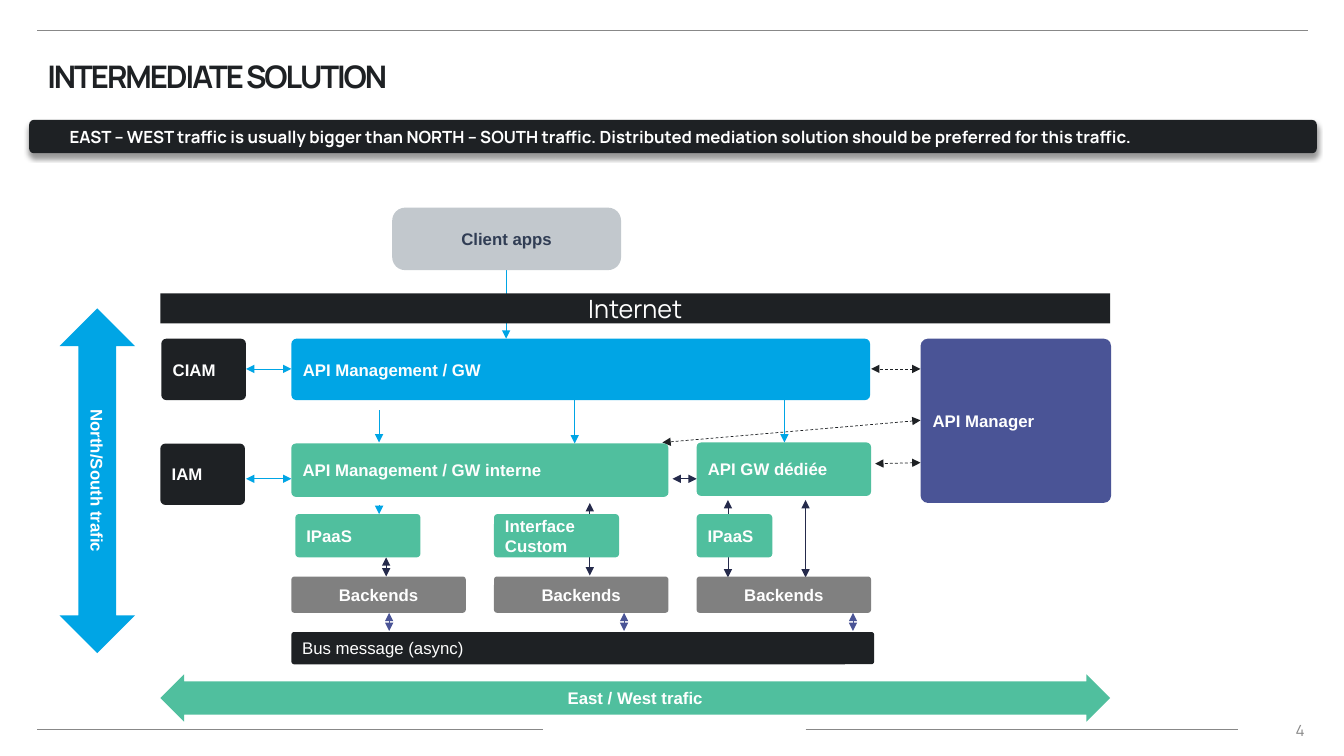
import pptx
import pptx.util
import pptx.dml.color
import pptx.enum.dml
import pptx.enum.shapes
import pptx.enum.text
import pptx.oxml
import pptx.oxml.ns

Inches = pptx.util.Inches
Pt = pptx.util.Pt
RGBColor = pptx.dml.color.RGBColor
SHAPE = pptx.enum.shapes.MSO_SHAPE
ALIGN = pptx.enum.text.PP_ALIGN
ANCHOR = pptx.enum.text.MSO_ANCHOR
qn = pptx.oxml.ns.qn

INK = RGBColor(0x1E, 0x21, 0x24)
WHITE = RGBColor(0xFF, 0xFF, 0xFF)
OFF_WHITE = RGBColor(0xFE, 0xFE, 0xFE)
RULE_GRAY = RGBColor(0x88, 0x88, 0x88)
BACKEND_GRAY = RGBColor(0x80, 0x80, 0x80)
CLIENT_GRAY = RGBColor(0xC2, 0xC8, 0xCD)
SLATE = RGBColor(0x30, 0x3D, 0x54)
BLUE = RGBColor(0x00, 0xA5, 0xE5)
GREEN = RGBColor(0x50, 0xBF, 0x9E)
INDIGO = RGBColor(0x4A, 0x54, 0x96)
NAVY = RGBColor(0x25, 0x2A, 0x4B)

prs = pptx.Presentation()
prs.slide_width = Inches(13.33)
prs.slide_height = Inches(7.5)
s = prs.slides.add_slide(prs.slide_layouts[5])


def write(sp, text, size=12, font="Arial", color=OFF_WHITE, bold=True,
          align=ALIGN.LEFT, anchor=ANCHOR.MIDDLE):
    """Fill a shape with one formatted paragraph and return that paragraph."""
    tf = sp.text_frame
    tf.word_wrap = True
    tf.vertical_anchor = anchor
    p = tf.paragraphs[0]
    p.alignment = align
    r = p.add_run()
    r.text = text
    r.font.size = Pt(size)
    r.font.name = font
    r.font.bold = bold
    r.font.color.rgb = color
    return p


def add_block(kind, x, y, w, h, fill, adjustments=()):
    """Add a plain filled shape without outline or shadow."""
    sp = s.shapes.add_shape(kind, Inches(x), Inches(y), Inches(w), Inches(h))
    sp.shadow.inherit = False
    sp.fill.solid()
    sp.fill.fore_color.rgb = fill
    sp.line.fill.background()
    for i, value in enumerate(adjustments):
        sp.adjustments[i] = value
    return sp


# Title
title = s.shapes.title
title.left, title.top = Inches(0.37), Inches(0.62)
title.width, title.height = Inches(12.48), Inches(0.39)
title.text_frame.auto_size = pptx.enum.text.MSO_AUTO_SIZE.NONE
p = write(title, "INTERMEDIATE SOLUTION", size=22.2, font="Manrope", color=INK,
          anchor=ANCHOR.TOP)
p.line_spacing = 0.7
p.runs[0].font._element.set("spc", "-150")

# Frame rules and arrows: x1, y1, x2, y2, colour, heads, dashed
lines = [
    (0.37, 0.3, 12.97, 0.3, RULE_GRAY, (), False),
    (0.37, 7.24, 5.39, 7.24, RULE_GRAY, (), False),
    (7.99, 7.24, 12.28, 7.24, RULE_GRAY, (), False),
]
ONE_WAY = ("tailEnd",)
TWO_WAY = ("headEnd", "tailEnd")
for x, y1, y2 in [(5.02, 2.68, 3.36), (3.76, 4.07, 4.39), (5.7, 3.97, 4.4),
                  (7.78, 3.97, 4.39), (3.76, 5.01, 5.1)]:
    lines.append((x, y1, x, y2, BLUE, ONE_WAY, False))
for x, y1, y2 in [(3.83, 5.72, 5.53), (5.85, 5.71, 4.99),
                  (7.99, 5.73, 4.96), (7.22, 5.73, 4.96)]:
    lines.append((x, y1, x, y2, NAVY, TWO_WAY, False))
for x in (3.86, 6.19, 8.46):
    lines.append((x, 6.08, x, 6.26, INDIGO, TWO_WAY, False))
for y in (3.66, 4.75):
    lines.append((2.44, y, 2.89, y, BLUE, TWO_WAY, False))
lines.append((6.91, 4.75, 6.67, 4.75, NAVY, TWO_WAY, False))
for y1, x2, y2 in [(3.66, 8.64, 3.66), (4.59, 8.68, 4.6), (4.17, 6.57, 4.39)]:
    lines.append((9.13, y1, x2, y2, INK, TWO_WAY, True))

for x1, y1, x2, y2, color, heads, dashed in lines:
    c = s.shapes.add_connector(pptx.enum.shapes.MSO_CONNECTOR.STRAIGHT,
                               Inches(x1), Inches(y1), Inches(x2), Inches(y2))
    c.line.color.rgb = color
    c.line.width = Pt(0.5)
    if dashed:
        c.line.dash_style = pptx.enum.dml.MSO_LINE.DASH
    ln = c.line._get_or_add_ln()
    for head in heads:
        ln.append(ln.makeelement(qn("a:" + head), {"type": "triangle"}))
    sp_pr = c._element.spPr
    sp_pr.append(sp_pr.makeelement(qn("a:effectLst"), {}))

# Key message banner
banner = add_block(SHAPE.ROUNDED_RECTANGLE, 0.29, 1.19, 12.77, 0.33, INK, [0.137])
p = write(banner, "EAST – WEST traffic is usually bigger than NORTH – SOUTH traffic. "
          "Distributed mediation solution should be preferred for this traffic.",
          font="Manrope", color=WHITE)
p._p.get_or_add_pPr().set("indent", str(Inches(0.29)))
shadow = pptx.oxml.parse_xml(
    '<a:outerShdw xmlns:a="http://schemas.openxmlformats.org/drawingml/2006/main" '
    'blurRad="50800" dist="38100" dir="5400000" algn="t" rotWithShape="0">'
    '<a:srgbClr val="000000"><a:alpha val="40000"/></a:srgbClr></a:outerShdw>')
banner._element.spPr.find(qn("a:effectLst")).append(shadow)

# Network zone and traffic directions
internet = add_block(SHAPE.RECTANGLE, 1.59, 2.91, 9.42, 0.3, INK)
write(internet, "Internet", size=18, font="Manrope", color=WHITE, bold=False,
      align=ALIGN.CENTER)
north_south = add_block(SHAPE.UP_DOWN_ARROW, 0.59, 3.06, 0.75, 3.42, BLUE)
write(north_south, "North/South trafic", color=WHITE, align=ALIGN.CENTER)
north_south.text_frame._txBody.bodyPr.set("vert", "vert")
east_west = add_block(SHAPE.LEFT_RIGHT_ARROW, 1.59, 6.69, 9.42, 0.47, GREEN, [0.697, 0.5])
write(east_west, "East / West trafic", color=WHITE, align=ALIGN.CENTER)

# Components
client = add_block(SHAPE.ROUNDED_RECTANGLE, 3.89, 2.06, 2.27, 0.62, CLIENT_GRAY, [0.207])
write(client, "Client apps", color=SLATE, align=ALIGN.CENTER)
components = [
    ("CIAM", 1.6, 3.36, 0.84, 0.61, INK),
    ("IAM", 1.59, 4.4, 0.84, 0.61, INK),
    ("API Management / GW", 2.89, 3.36, 5.74, 0.61, BLUE),
    ("API Management / GW interne", 2.89, 4.4, 3.74, 0.53, GREEN),
    ("API GW dédiée", 6.91, 4.39, 1.73, 0.53, GREEN),
    ("IPaaS", 2.93, 5.1, 1.24, 0.43, GREEN),
    ("Interface Custom", 4.9, 5.1, 1.24, 0.43, GREEN),
    ("IPaaS", 6.91, 5.1, 0.75, 0.43, GREEN),
]
for label, x, y, w, h, fill in components:
    write(add_block(SHAPE.ROUNDED_RECTANGLE, x, y, w, h, fill, [0.084]), label)
for i in range(3):
    backend = add_block(SHAPE.ROUNDED_RECTANGLE, 2.89 + 2.01 * i, 5.72, 1.73, 0.36,
                        BACKEND_GRAY, [0.084])
    write(backend, "Backends", align=ALIGN.CENTER)
manager = add_block(SHAPE.ROUNDED_RECTANGLE, 9.13, 3.36, 1.89, 1.63, INDIGO, [0.045])
write(manager, "API Manager")
bus = add_block(SHAPE.ROUNDED_RECTANGLE, 2.89, 6.27, 5.78, 0.32, INK, [0.084])
write(bus, "Bus message (async)", bold=False)

# Page number
page_number = s.shapes.add_textbox(Inches(12.63), Inches(7.1), Inches(0.53), Inches(0.29))
write(page_number, "4", size=11, font="Manrope", color=RULE_GRAY, bold=False,
      align=ALIGN.CENTER)

prs.save("out.pptx")
